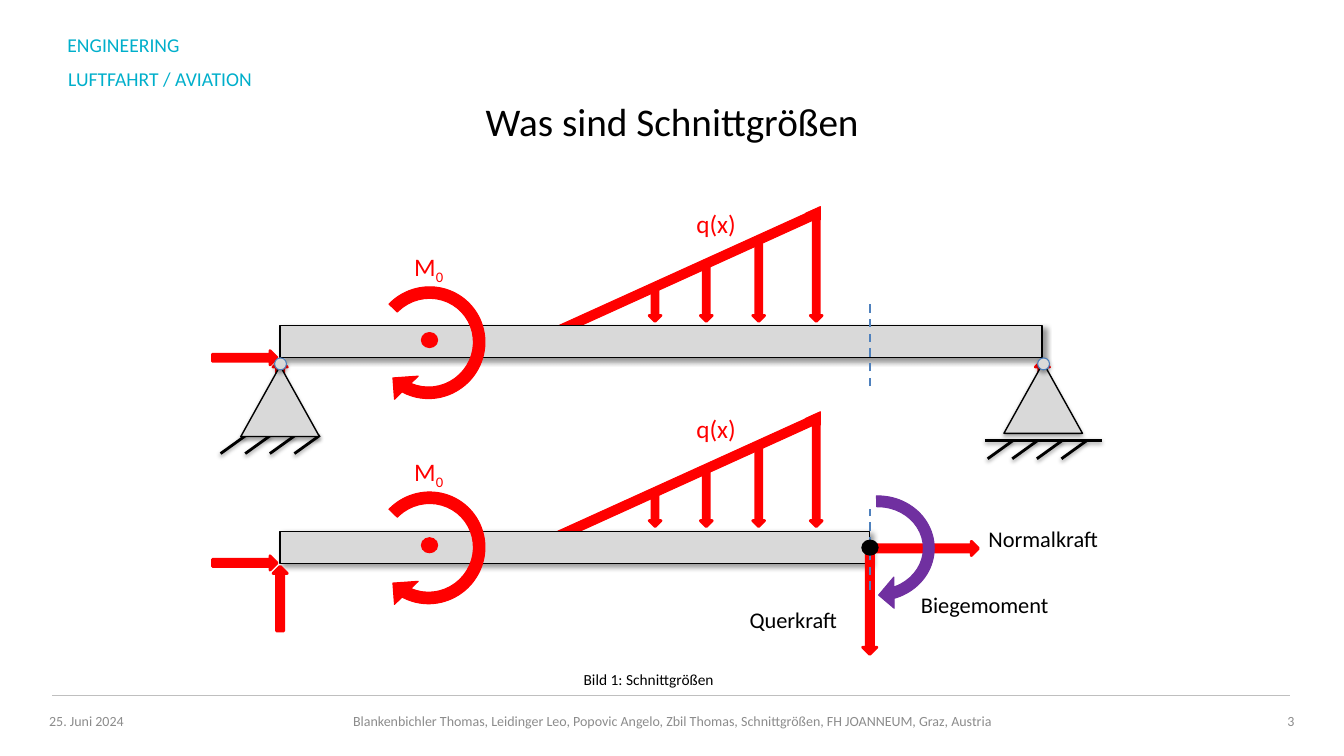
from lxml import etree
from pptx import Presentation
from pptx import util as u
from pptx.dml.color import RGBColor
from pptx.enum import dml, shapes, text
from pptx.oxml.ns import qn

COLORS = {
    "teal": "00AFCB", "red": "FF0000", "purple": "7030A0", "black": "000000",
    "beam": "D9D9D9", "cut": "4F81BD", "hinge": "4B7EBC",
    "footer": "8C8C8C", "rule": "BFBFBF",
}
KIND = shapes.MSO_SHAPE
ALIGN = text.PP_ALIGN

# Shadows: opacity in percent, blur and distance in points, direction in degrees
BEAM_SHADOW = (40, 4, 3, 45)
SUPPORT_SHADOW = (35, 3.1, 1.8, 90)
LINE_SHADOW = (38, 3.1, 1.6, 90)

LOWER = 5.17  # distance from the whole beam down to the cut beam
FORCE_WIDTH = 0.36
RAMP_BOTTOM = 8.1


def color(name):
    return RGBColor.from_string(COLORS[name])


def cm(*lengths):
    return [u.Cm(length) for length in lengths]


def fill_effects(effects, shadow):
    """Put an outer shadow into an empty effect list."""
    opacity, blur, distance, direction = shadow
    outer = etree.SubElement(
        effects, qn("a:outerShdw"), blurRad=str(u.Pt(blur)), dist=str(u.Pt(distance)),
        dir=str(direction * 60000), rotWithShape="0")
    black = etree.SubElement(outer, qn("a:srgbClr"), val=COLORS["black"])
    etree.SubElement(black, qn("a:alpha"), val=str(opacity * 1000))


def add_text(slide, words, box, size, *, ink="black", align=ALIGN.LEFT,
             middle=False, subscript=None):
    frame = slide.shapes.add_textbox(*cm(*box)).text_frame
    frame.word_wrap = True
    if middle:
        frame.vertical_anchor = text.MSO_ANCHOR.MIDDLE
    else:
        frame.auto_size = text.MSO_AUTO_SIZE.SHAPE_TO_FIT_TEXT
    paragraph = frame.paragraphs[0]
    paragraph.alignment = align
    for part in filter(None, (words, subscript)):
        run = paragraph.add_run()
        run.text = part
        run.font.name = "Calibri"
        run.font.size = u.Pt(size)
        run.font.color.rgb = color(ink)
    if subscript:
        run.font._element.set("baseline", "-25000")


def add_shape(slide, kind, box, fill="red", line="red", width=0.75,
              rotation=0, adjustments=(), shadow=None):
    shape = slide.shapes.add_shape(kind, *cm(*box))
    for index, value in enumerate(adjustments):
        shape.adjustments[index] = value
    shape.rotation = rotation
    shape.fill.solid()
    shape.fill.fore_color.rgb = color(fill)
    shape.line.color.rgb = color(line)
    shape.line.width = u.Pt(width)
    shape.shadow.inherit = False
    if shadow:
        fill_effects(shape._element.spPr.find(qn("a:effectLst")), shadow)


def add_line(slide, start, end, ink="black", width=2, dashed=False, shadow=None):
    connector = slide.shapes.add_connector(
        shapes.MSO_CONNECTOR.STRAIGHT, *cm(*start, *end))
    connector.line.color.rgb = color(ink)
    connector.line.width = u.Pt(width)
    if dashed:
        connector.line.dash_style = dml.MSO_LINE.DASH
    effects = etree.SubElement(connector._element.spPr, qn("a:effectLst"))
    if shadow:
        fill_effects(effects, shadow)


def add_force(slide, left, top, length, rotation=0, width=FORCE_WIDTH):
    add_shape(slide, KIND.DOWN_ARROW, (left, top, width, length),
              width=2, rotation=rotation)


def add_ramp(slide, shift):
    add_shape(slide, KIND.RECTANGLE, (13.46, 6.81 + shift, 7.44, 0.23), rotation=335.6)


def add_beam(slide, top, length):
    add_shape(slide, KIND.RECTANGLE, (7.06, top, length, 0.81), "beam", "black", 1,
              shadow=BEAM_SHADOW)


def add_cut(slide, top, bottom):
    add_line(slide, (21.92, bottom), (21.92, top), "cut", 1.5, dashed=True)


def add_loads(slide, shift):
    """Distributed load, moment and horizontal force with their labels."""
    for left, length in ((16.36, 0.89), (17.65, 1.5), (18.97, 2.11), (20.42, 2.72)):
        add_force(slide, left, RAMP_BOTTOM - length + shift, length, width=0.3)
    add_shape(slide, KIND.ISOSCELES_TRIANGLE, (20.32, 5.18 + shift, 0.33, 0.38),
              rotation=270, adjustments=(0.477,))
    add_shape(slide, KIND.CIRCULAR_ARROW, (9.12, 6.96 + shift, 3.38, 3.35),
              rotation=136.5, adjustments=(0.087, 11.423, 204.126, 52.472, 0.125))
    add_shape(slide, KIND.OVAL, (10.62, 8.38 + shift, 0.41, 0.38))
    add_text(slide, "M", (10.19, 6.2 + shift, 1.42, 1.02), 18, ink="red", subscript="0")
    add_text(slide, "q(x)", (17.3, 5.13 + shift, 1.7, 1.02), 18, ink="red")
    add_force(slide, 5.99, 8.2 + shift, 1.63, rotation=270)


def add_support(slide, left, top, hatch_left, hatch_top):
    for index in range(4):
        start = hatch_left + index * 0.62
        add_line(slide, (start, hatch_top + 0.46), (start + 0.64, hatch_top),
                 shadow=LINE_SHADOW)
    add_shape(slide, KIND.ISOSCELES_TRIANGLE, (left, top, 1.98, 1.78), "beam", "black", 1,
              shadow=SUPPORT_SHADOW)
    add_shape(slide, KIND.OVAL, (left + 0.85, 9.02, 0.3, 0.3), "beam", "hinge",
              shadow=SUPPORT_SHADOW)


def add_frame_texts(slide):
    add_text(slide, "ENGINEERING", (1.45, 0.71, 8.23, 0.86), 14, ink="teal")
    add_text(slide, "LUFTFAHRT / AVIATION", (1.47, 1.55, 8.23, 0.86), 14, ink="teal")
    add_line(slide, (1.32, 17.53), (32.51, 17.53), "rule", 0.5)
    add_text(slide, "Was sind Schnittgrößen", (1.7, 2.16, 30.48, 1.78), 28,
             align=ALIGN.CENTER, middle=True)
    add_text(slide, "Bild 1: Schnittgrößen", (8.59, 16.76, 15.52, 0.74), 11,
             align=ALIGN.CENTER)
    authors = ("Blankenbichler Thomas, Leidinger Leo, Popovic Angelo, Zbil Thomas, "
               "Schnittgrößen, FH JOANNEUM, Graz, Austria")
    for words, left, width, align in (
            ("25. Juni 2024", 0.99, 3.96, ALIGN.LEFT),
            (authors, 4.95, 23.98, ALIGN.CENTER),
            ("3", 28.93, 3.94, ALIGN.RIGHT)):
        add_text(slide, words, (left, 17.65, width, 1.02), 10, ink="footer",
                 align=align, middle=True)


def add_section_forces(slide):
    """Normal force, shear force and bending moment at the cut."""
    add_force(slide, 23.11, 12.45, 2.74, rotation=270)
    add_force(slide, 21.74, 13.82, 2.67)
    add_cut(slide, 12.83, 14.86)
    add_shape(slide, KIND.OVAL, (21.72, 13.61, 0.41, 0.38), "black", "black")
    add_shape(slide, KIND.CIRCULAR_ARROW, (20.55, 12.14, 3.15, 3.35), "purple", "purple",
              rotation=90, adjustments=(0.087, 11.423, 204.126, 107.001, 0.125))
    for words, left, top in (("Querkraft", 18.64, 15.14), ("Biegemoment", 22.96, 14.78),
                             ("Normalkraft", 24.66, 13.11)):
        add_text(slide, words, (left, top, 3.95, 0.94), 16)


def main():
    presentation = Presentation()
    presentation.slide_width, presentation.slide_height = cm(33.87, 19.05)
    slide = presentation.slides.add_slide(presentation.slide_layouts[6])
    add_frame_texts(slide)

    # Ramps lie behind the beams
    for shift in (0, LOWER):
        add_ramp(slide, shift)
    add_beam(slide, 8.2, 19.2)
    add_beam(slide, 13.39, 14.86)

    # Cut and section forces
    add_cut(slide, 7.54, 9.73)
    add_section_forces(slide)

    # Support reactions and loads
    for left, top in ((6.88, 9.07), (26.09, 9.07), (6.88, 14.27)):
        add_force(slide, left, top, 1.63, rotation=180)
    for shift in (0, LOWER):
        add_loads(slide, shift)

    # Fixed support on the left, sliding support on the right
    add_support(slide, 6.07, 9.22, 5.56, 10.97)
    add_support(slide, 25.3, 9.14, 24.89, 11.1)
    add_line(slide, (24.82, 11.1), (27.76, 11.1), shadow=LINE_SHADOW)

    presentation.save("out.pptx")


if __name__ == "__main__":
    main()
